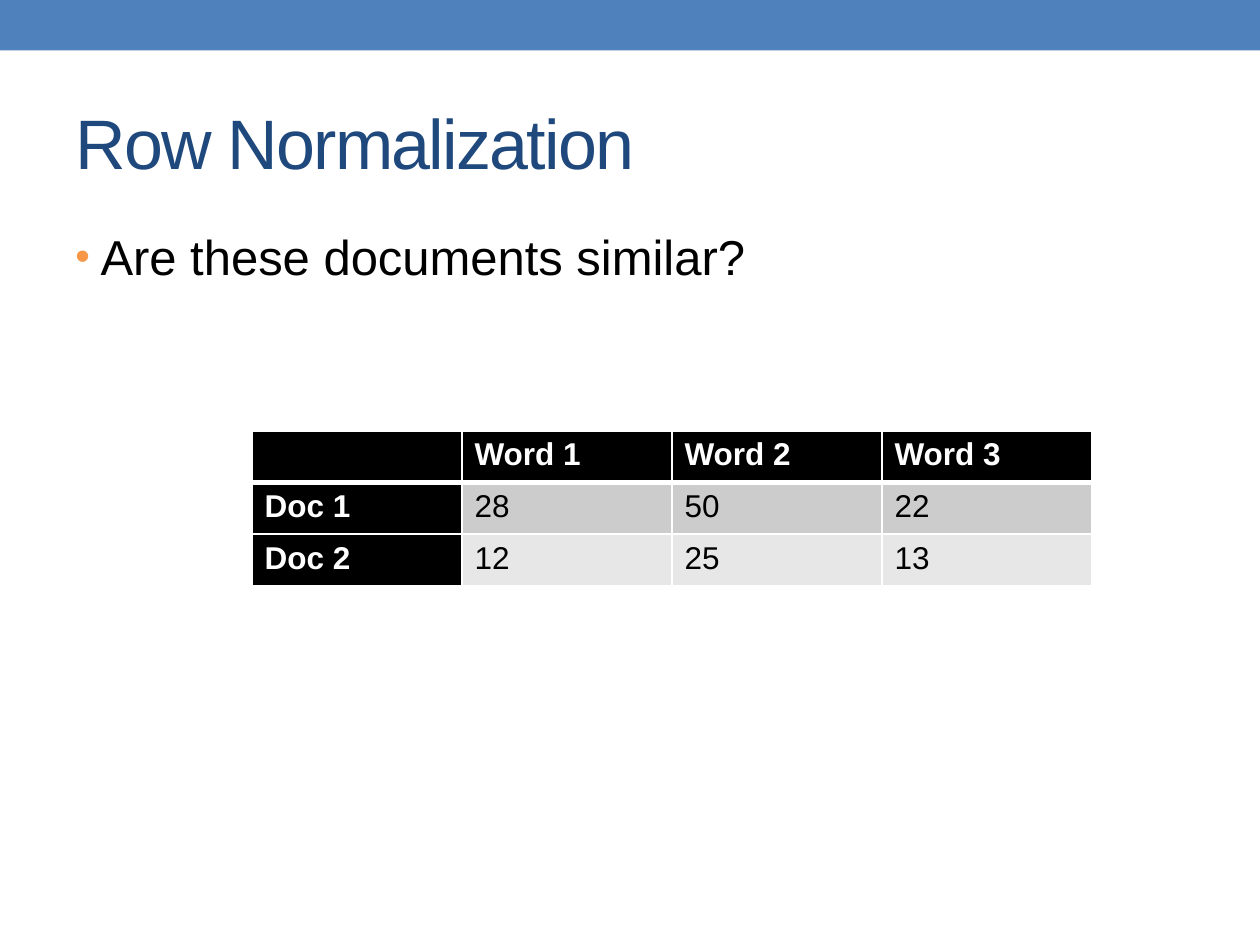
from lxml import etree
from pptx import Presentation
from pptx import util as u
from pptx.dml.color import RGBColor
from pptx.enum import shapes, text
from pptx.oxml.ns import qn

WHITE = RGBColor(0xFF, 0xFF, 0xFF)
BLACK = RGBColor(0, 0, 0)
BAND_BLUE = RGBColor(0x4F, 0x81, 0xBD)
TITLE_BLUE = RGBColor(0x1F, 0x49, 0x7D)
BULLET_ORANGE = RGBColor(0xF7, 0x96, 0x46)
ROW_GREYS = [RGBColor(0xCC, 0xCC, 0xCC), RGBColor(0xE7, 0xE7, 0xE7)]

WIDTH, HEIGHT = u.Inches(10), u.Inches(7.5)
MARGIN = u.Inches(0.5)
COLUMN, ROW = WIDTH // 6, u.Inches(0.41)

WORD_COUNTS = [
    ["", "Word 1", "Word 2", "Word 3"],
    ["Doc 1", "28", "50", "22"],
    ["Doc 2", "12", "25", "13"],
]


def set_font(font, color, **values):
    for name, value in {"name": "Arial", **values}.items():
        setattr(font, name, value)
    font.color.rgb = color


def add_band(slide):
    band = slide.shapes.add_shape(
        shapes.MSO_SHAPE.RECTANGLE, 0, 0, WIDTH, u.Inches(0.4))
    band.shadow.inherit = False
    band.fill.solid()
    band.fill.fore_color.rgb = BAND_BLUE
    band.line.fill.background()


def add_text(slide, wording, top, height, anchor):
    box = slide.shapes.add_textbox(MARGIN, top, WIDTH - 2 * MARGIN, height)
    frame = box.text_frame
    frame.word_wrap = True
    frame.vertical_anchor = anchor
    paragraph = frame.paragraphs[0]
    paragraph.add_run().text = wording
    return paragraph


def add_bullet(paragraph, indent, color):
    properties = paragraph._p.get_or_add_pPr()
    properties.set("marL", str(indent))
    properties.set("indent", str(-indent))
    bullet_color = etree.SubElement(properties, qn("a:buClr"))
    etree.SubElement(bullet_color, qn("a:srgbClr"), val=str(color))
    etree.SubElement(properties, qn("a:buSzPct"), val="85000")
    etree.SubElement(properties, qn("a:buFont"), typeface="Arial")
    etree.SubElement(properties, qn("a:buChar"), char="•")


def add_borders(cell, widths):
    properties = cell._tc.get_or_add_tcPr()
    for position, (side, width) in enumerate(widths.items()):
        line = etree.Element(qn(f"a:ln{side}"), w=str(u.Pt(width)))
        fill = etree.SubElement(line, qn("a:solidFill"))
        etree.SubElement(fill, qn("a:srgbClr"), val=str(WHITE))
        properties.insert(position, line)


def add_count_table(slide, counts):
    rows, columns = len(counts), len(counts[0])
    table = slide.shapes.add_table(
        rows, columns, u.Inches(2), u.Inches(3.42),
        columns * COLUMN, rows * ROW).table
    table.first_col = True
    for r, row in enumerate(counts):
        for c, wording in enumerate(row):
            heading = r == 0 or c == 0
            cell = table.cell(r, c)
            cell.text = wording
            cell.fill.solid()
            cell.fill.fore_color.rgb = BLACK if heading else ROW_GREYS[r - 1]
            set_font(cell.text_frame.paragraphs[0].font,
                     WHITE if heading else BLACK, size=u.Pt(18), bold=heading)
            # The rule under the header row is thicker
            add_borders(cell, {"L": 1, "R": 1, "T": 3 if r == 1 else 1,
                               "B": 3 if r == 0 else 1})


def main():
    deck = Presentation()
    deck.slide_width, deck.slide_height = WIDTH, HEIGHT
    slide = deck.slides.add_slide(deck.slide_layouts[6])

    # Top band and title
    add_band(slide)
    title = add_text(slide, "Row Normalization", u.Inches(0.58),
                     u.Inches(1.08), text.MSO_ANCHOR.MIDDLE)
    title_font = title.runs[0].font
    set_font(title_font, TITLE_BLUE, size=u.Pt(40))
    title_font._element.set("spc", "-100")

    # Question
    question = add_text(slide, "Are these documents similar?", u.Inches(1.75),
                        u.Inches(5.33), text.MSO_ANCHOR.TOP)
    add_bullet(question, u.Inches(0.2), BULLET_ORANGE)
    set_font(question.runs[0].font, BLACK, size=u.Pt(28))

    # Word counts per document
    add_count_table(slide, WORD_COUNTS)
    deck.save("out.pptx")


if __name__ == "__main__":
    main()
